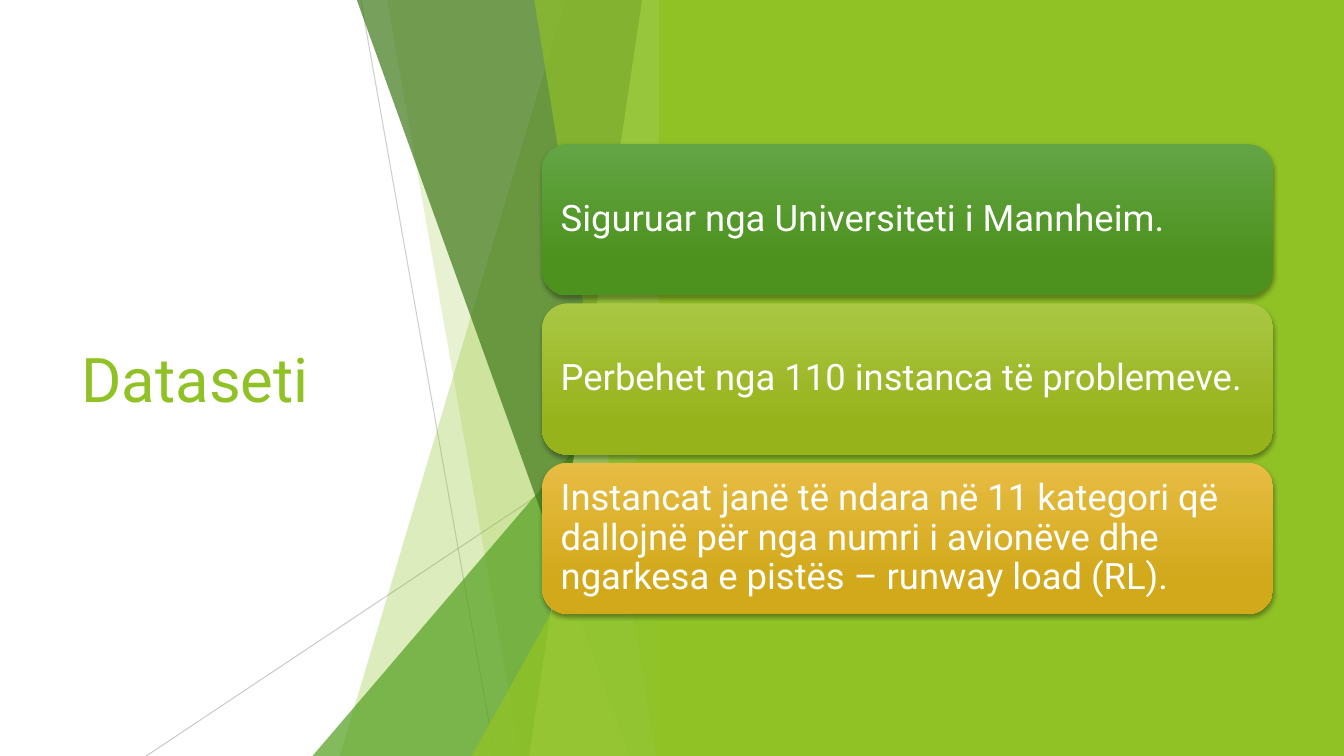
"""Build the dataset slide: a faceted green panel, a title and three cards."""
from typing import NamedTuple

from lxml import etree
from pptx import Presentation
from pptx.dml.color import RGBColor
from pptx.enum.shapes import MSO_CONNECTOR, MSO_SHAPE
from pptx.enum.text import MSO_ANCHOR, PP_ALIGN
from pptx.oxml.ns import qn
from pptx.util import Inches, Pt

STRAIGHT = MSO_CONNECTOR.STRAIGHT
RECT = MSO_SHAPE.RECTANGLE
ROUND = MSO_SHAPE.ROUNDED_RECTANGLE
WEDGE = MSO_SHAPE.ISOSCELES_TRIANGLE
MIDDLE = MSO_ANCHOR.MIDDLE
LEFT = PP_ALIGN.LEFT

WIDTH, HEIGHT = Inches(13.33), Inches(7.5)
FONT = "Roboto"
LIME = RGBColor(0x90, 0xC2, 0x26)
GREEN = RGBColor(0x54, 0xA0, 0x21)
FOREST = RGBColor(0x3F, 0x78, 0x19)
PALE = RGBColor(0xC0, 0xE4, 0x74)
GREY = RGBColor(0xBF, 0xBF, 0xBF)
BLACK = RGBColor(0, 0, 0)
WHITE = RGBColor(0xFF, 0xFF, 0xFF)

EDGE = 50
CARD_X, CARD_Y, CARD_W, CARD_H, PITCH = 40.35, 19.07, 54.38, 20, 21.07


class Ray(NamedTuple):
    """A thin line; places are percent of the slide."""
    x1: float
    y1: float
    x2: float
    y2: float
    alpha: int


class Facet(NamedTuple):
    """A sheet running from the slanted left side to the panel's edge."""
    top: float
    base: float
    color: RGBColor
    alpha: int


class Peak(NamedTuple):
    """A right-angled triangle standing on the slide's lower edge."""
    left: float
    top: float
    color: RGBColor
    alpha: int


class Card(NamedTuple):
    """A rounded box with its text and gradient."""
    text: str
    light: RGBColor
    dark: RGBColor


RAYS = (Ray(26.85, 0, 36.83, 100, 75), Ray(EDGE, 53.73, 10.88, 100, 80))
LAYERS = (
    Facet(42.08, 25.28, LIME, 30),
    Facet(28.8, 38.7, LIME, 20),
    Peak(23.25, 44.4, GREEN, 72),
    Facet(26.55, 46.8, FOREST, 70),
    Facet(47.78, 39.38, PALE, 70),
    Facet(39.75, 48.83, LIME, 65),
    Peak(35.1, 52.4, LIME, 80),
)
CARDS = (
    Card("Siguruar nga Universiteti i Mannheim.",
         RGBColor(0x63, 0xA5, 0x45), RGBColor(0x4D, 0x92, 0x1E)),
    Card("Perbehet nga 110 instanca të problemeve.",
         RGBColor(0xAA, 0xC7, 0x44), RGBColor(0x97, 0xB3, 0x1C)),
    Card("Instancat janë të ndara në 11 kategori që dallojnë për nga numri "
         "i avionëve dhe ngarkesa e pistës – runway load (RL).",
         RGBColor(0xE7, 0xBC, 0x43), RGBColor(0xD2, 0xA9, 0x1B)),
)


def across(share: float) -> int:
    """Turn a percentage of the width into a length."""
    return round(WIDTH * share / 100)


def down(share: float) -> int:
    """Turn a percentage of the height into a length."""
    return round(HEIGHT * share / 100)


def frame(x: float, y: float, w: float, h: float) -> tuple[int, int, int, int]:
    """Give left, top, width and height as lengths."""
    return across(x), down(y), across(w), down(h)


def fade(shape, alpha: int) -> None:
    """Make the colours of a shape see-through."""
    for color in shape._element.spPr.iter(qn("a:srgbClr")):
        etree.SubElement(color, qn("a:alpha"), val=str(alpha * 1000))


def paint(shape, color: RGBColor, alpha: int = 100) -> None:
    """Fill a shape plainly, without line or shadow."""
    shape.fill.solid()
    shape.fill.fore_color.rgb = color
    shape.line.fill.background()
    shape.shadow.inherit = False
    if alpha < 100:
        fade(shape, alpha)


def draw_ray(shapes, ray: Ray) -> None:
    """Draw a thin grey line."""
    line = shapes.add_connector(STRAIGHT, across(ray.x1), down(ray.y1),
                                across(ray.x2), down(ray.y2))
    line.line.color.rgb = GREY
    line.line.width = Pt(0.75)
    fade(line, ray.alpha)
    etree.SubElement(line._element.spPr, qn("a:effectLst"))


def draw_layer(shapes, layer: Facet | Peak) -> None:
    """Draw a facet or a peak."""
    if isinstance(layer, Peak):
        box = frame(layer.left, layer.top, EDGE - layer.left, 100 - layer.top)
        shape = shapes.add_shape(WEDGE, *box)
        shape.adjustments[0] = 1
    else:
        pen = shapes.build_freeform(across(layer.top), 0)
        pen.add_line_segments([(across(EDGE), 0), (across(EDGE), HEIGHT),
                               (across(layer.base), HEIGHT)])
        shape = pen.convert_to_shape()
    paint(shape, layer.color, layer.alpha)


def write(shape, text: str, size: int, color: RGBColor) -> None:
    """Set left-aligned text in the middle of a shape's height."""
    body = shape.text_frame
    body.word_wrap = True
    body.vertical_anchor = MIDDLE
    para = body.paragraphs[0]
    para.text = text
    para.alignment = LEFT
    para.font.name = FONT
    para.font.size = Pt(size)
    para.font.color.rgb = color


def cast(shape) -> None:
    """Drop a soft shadow below a shape."""
    shape.shadow.inherit = False
    effects = shape._element.spPr.find(qn("a:effectLst"))
    outer = etree.SubElement(effects, qn("a:outerShdw"), blurRad=str(Pt(3)),
                             dist=str(Pt(2)), dir="5400000", rotWithShape="0")
    color = etree.SubElement(outer, qn("a:srgbClr"), val=str(BLACK))
    etree.SubElement(color, qn("a:alpha"), val="35000")


def draw_card(shapes, row: int, card: Card) -> None:
    """Draw one card in its row."""
    box = frame(CARD_X, CARD_Y + row * PITCH, CARD_W, CARD_H)
    shape = shapes.add_shape(ROUND, *box)
    shape.fill.gradient()
    shape.fill.gradient_angle = 270
    first, last = shape.fill.gradient_stops
    first.color.rgb, last.color.rgb = card.light, card.dark
    first.position, last.position = 0, 0.78
    shape.line.fill.background()
    cast(shape)
    write(shape, card.text, 26, WHITE)
    body = shape.text_frame
    body.margin_left = body.margin_right = Inches(0.11)
    body.margin_top = body.margin_bottom = Inches(0.11)
    body.paragraphs[0].line_spacing = 0.9


def main() -> None:
    """Build and save the slide."""
    deck = Presentation()
    deck.slide_width, deck.slide_height = WIDTH, HEIGHT
    shapes = deck.slides.add_slide(deck.slide_layouts[6]).shapes
    title = shapes.add_textbox(*frame(5.33, 20.13, 29.1, 59.73))
    write(title, "Dataseti", 44, LIME)
    for ray in RAYS:
        draw_ray(shapes, ray)
    for layer in LAYERS:
        draw_layer(shapes, layer)
    paint(shapes.add_shape(RECT, *frame(49.05, 0, 50.95, 100)), LIME)
    for row, card in enumerate(CARDS):
        draw_card(shapes, row, card)
    deck.save("out.pptx")


if __name__ == "__main__":
    main()
